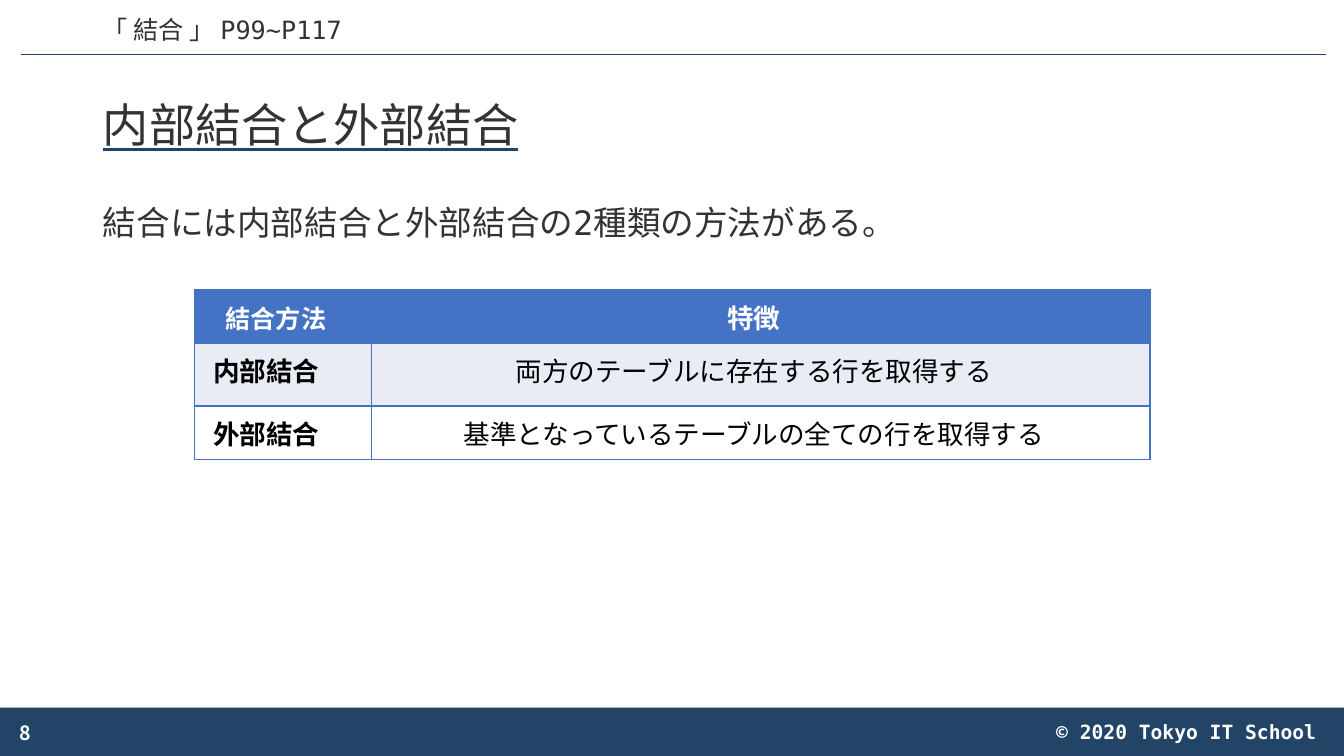
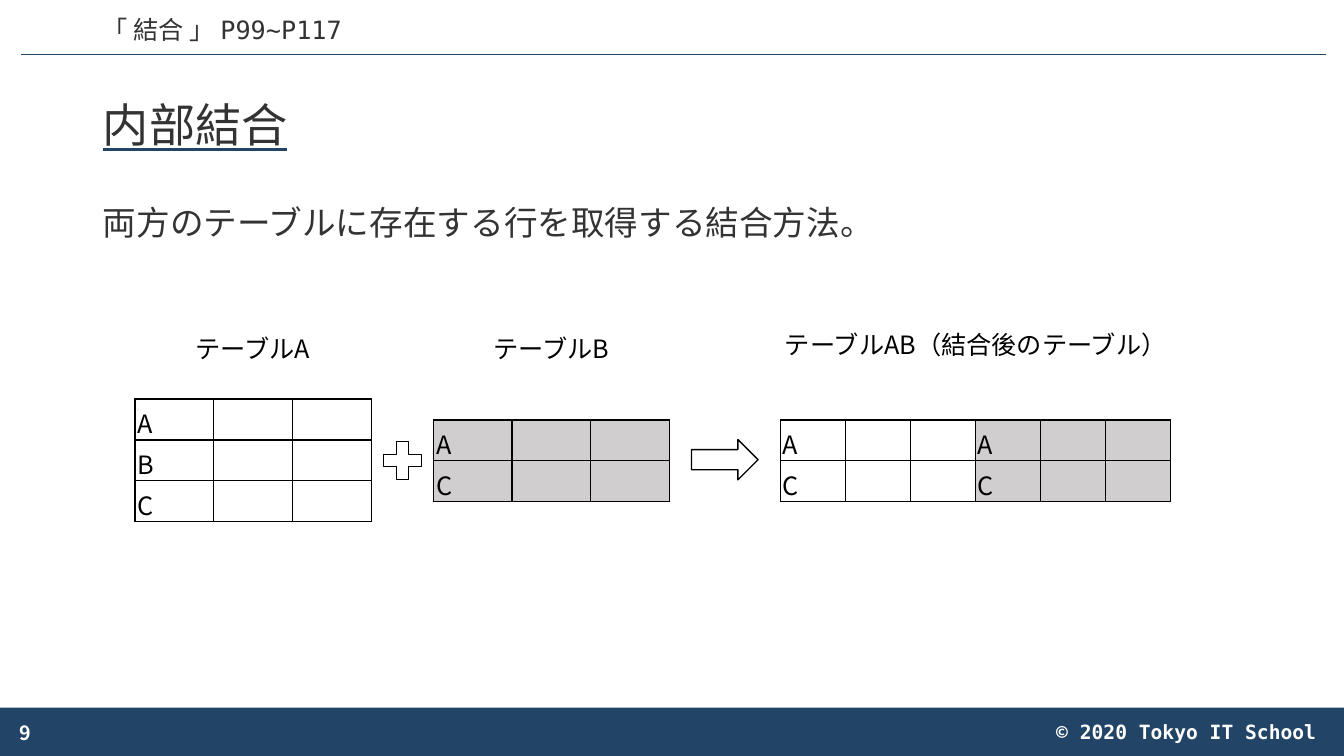
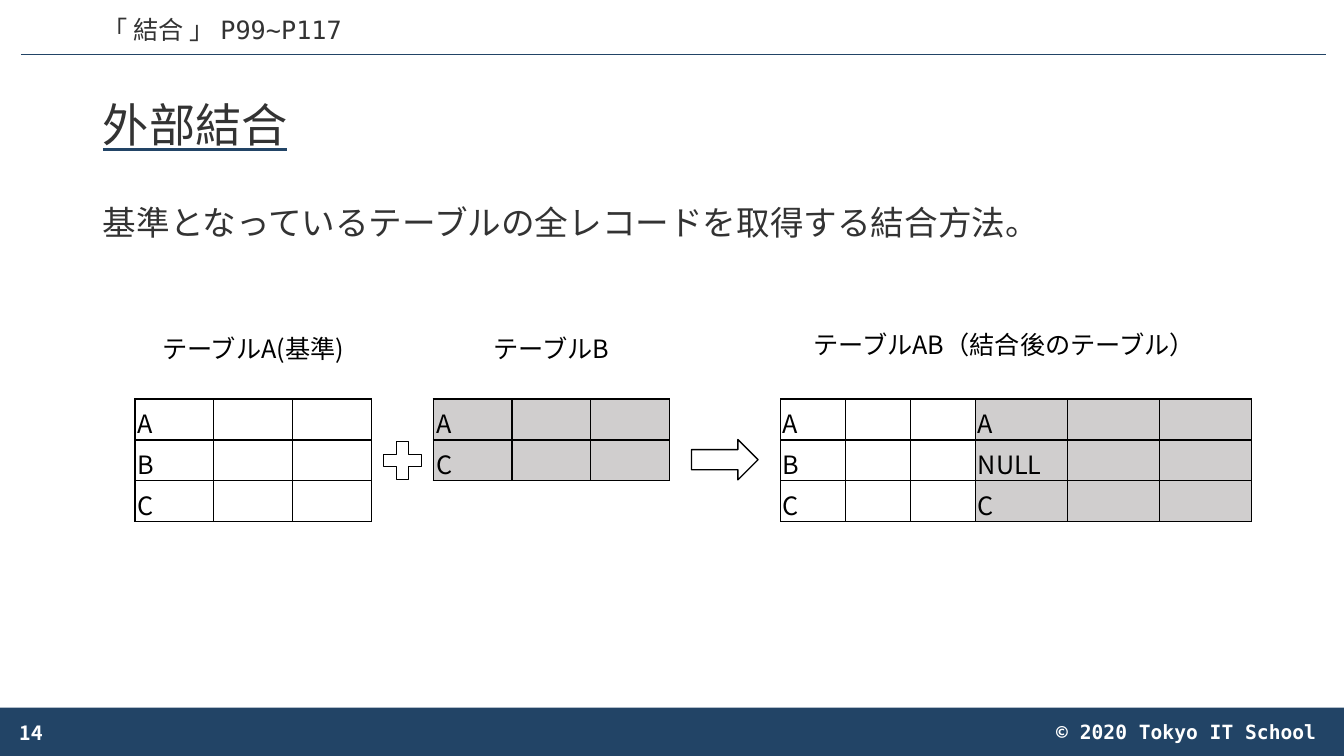
from dataclasses import dataclass

from pptx import Presentation
from pptx import util as u
from pptx.dml.color import RGBColor
from pptx.enum import shapes, text
from pptx.oxml import ns
from pptx.oxml.xmlchemy import OxmlElement

NAVY, INK, BLACK, WHITE = "224466", "333333", "000000", "FFFFFF"
BLUE, PALE, GREY = "4472C4", "E9EBF5", "D0CECE"
MONO, GOTHIC = "DejaVu Sans Mono", "Noto Sans CJK JP"
LEFT, CENTER = text.PP_ALIGN.LEFT, text.PP_ALIGN.CENTER
RIGHT, JUSTIFY = text.PP_ALIGN.RIGHT, text.PP_ALIGN.JUSTIFY
ROW_HEIGHT = 29.25


@dataclass(frozen=True)
class Box:
    left: float
    top: float
    width: float
    height: float

    def lengths(self) -> list:
        return [u.Pt(v) for v in (self.left, self.top, self.width, self.height)]


@dataclass(frozen=True)
class Style:
    size: float
    color: str = BLACK
    font: str = GOTHIC
    bold: bool = False
    underline: str = ""


@dataclass(frozen=True)
class Grid:
    left: float
    top: float
    column: float
    keys: str
    fill: str = ""
    inset: float = 2


@dataclass(frozen=True)
class Label:
    wording: str
    box: Box


@dataclass(frozen=True)
class Page:
    number: int
    title: str
    summary: str
    grids: tuple = ()
    labels: tuple = ()


TITLE = Style(33, INK, MONO, underline=NAVY)
SUMMARY = Style(24, INK, MONO)
CHAPTER = Style(18, INK, MONO)
COPYRIGHT = Style(14, WHITE, MONO, bold=True)
NUMBER = Style(14, WHITE, bold=True)
ENTRY = Style(18)


def rgb(color: str) -> RGBColor:
    return RGBColor.from_string(color)


def solid_fill(color: str):
    fill = OxmlElement("a:solidFill")
    value = OxmlElement("a:srgbClr")
    value.set("val", color)
    fill.append(value)
    return fill


def write(paragraph, wording: str, style: Style, align=LEFT) -> None:
    paragraph.alignment = align
    run = paragraph.add_run()
    run.text = wording
    font = run.font
    font.size = u.Pt(style.size)
    font.bold = style.bold
    font.color.rgb = rgb(style.color)
    font.name = style.font
    latin = run._r.get_or_add_rPr().find(ns.qn("a:latin"))
    asian = OxmlElement("a:ea")
    asian.set("typeface", GOTHIC)
    latin.addnext(asian)
    if style.underline:
        font.underline = True
        underline = OxmlElement("a:uFill")
        underline.append(solid_fill(style.underline))
        latin.addprevious(underline)


def add_text(slide, box: Box, wording: str, style: Style, align=LEFT,
             anchor=text.MSO_ANCHOR.TOP) -> None:
    frame = slide.shapes.add_textbox(*box.lengths()).text_frame
    frame.word_wrap = True
    frame.vertical_anchor = anchor
    write(frame.paragraphs[0], wording, style, align)


def fill_placeholder(placeholder, box: Box, wording: str, style: Style, anchor) -> None:
    placeholder.left, placeholder.top, placeholder.width, placeholder.height = box.lengths()
    frame = placeholder.text_frame
    frame.auto_size = text.MSO_AUTO_SIZE.NONE
    frame.vertical_anchor = anchor
    paragraph = frame.paragraphs[0]
    properties = paragraph._p.get_or_add_pPr()
    properties.set("marL", "0")
    properties.set("indent", "0")
    properties.append(OxmlElement("a:buNone"))
    paragraph.line_spacing = 0.9
    paragraph.space_before = u.Pt(0)
    write(paragraph, wording, style)


def add_shape(slide, kind, box: Box, fill: str = "", line: str = "") -> None:
    shape = slide.shapes.add_shape(kind, *box.lengths())
    shape.shadow.inherit = False
    if fill:
        shape.fill.solid()
        shape.fill.fore_color.rgb = rgb(fill)
    else:
        shape.fill.background()
    if line:
        shape.line.color.rgb = rgb(line)
        shape.line.width = u.Pt(1)
    else:
        shape.line.fill.background()


def format_cell(cell, border: str, fill: str, insets: tuple) -> None:
    (cell.margin_left, cell.margin_top,
     cell.margin_right, cell.margin_bottom) = (u.Pt(v) for v in insets)
    properties = cell._tc.get_or_add_tcPr()
    for side in ("a:lnL", "a:lnR", "a:lnT", "a:lnB"):
        edge = OxmlElement(side)
        edge.set("w", str(u.Pt(1)))
        edge.append(solid_fill(border))
        properties.append(edge)
    if fill:
        cell.fill.solid()
        cell.fill.fore_color.rgb = rgb(fill)
    else:
        cell.fill.background()


def add_table(slide, left: float, top: float, columns: list, rows: list):
    box = Box(left, top, sum(columns), sum(rows))
    table = slide.shapes.add_table(len(rows), len(columns), *box.lengths()).table
    table.first_row = table.horz_banding = False
    for column, width in zip(table.columns, columns):
        column.width = u.Pt(width)
    for row, height in zip(table.rows, rows):
        row.height = u.Pt(height)
    return table


def draw_grid(slide, grid: Grid) -> None:
    keys = grid.keys.split()
    table = add_table(slide, grid.left, grid.top, [grid.column] * 3, [ROW_HEIGHT] * len(keys))
    for cell in table.iter_cells():
        format_cell(cell, BLACK, grid.fill, (grid.inset, 3.6, grid.inset, 3.6))
    for row, key in enumerate(keys):
        write(table.cell(row, 0).text_frame.paragraphs[0], key, ENTRY)


def draw_methods(slide) -> None:
    rows = (
        ("結合方法", "特徴", BLUE),
        ("内部結合", "両方のテーブルに存在する行を取得する", PALE),
        ("外部結合", "基準となっているテーブルの全ての行を取得する", WHITE),
    )
    table = add_table(slide, 138.75, 207, [126.75, 556], [38, 45, 38])
    for r, (method, feature, fill) in enumerate(rows):
        heading = r == 0
        color = WHITE if heading else BLACK
        for c, wording in enumerate((method, feature)):
            first = c == 0
            align = JUSTIFY if first and not heading else CENTER
            cell = table.cell(r, c)
            format_cell(cell, BLUE, fill, (13.5, 19, 13.5 if align == JUSTIFY else 23.5, 5))
            paragraph = cell.text_frame.paragraphs[0]
            paragraph.line_spacing = u.Pt(14)
            size = 18 if heading and first else 19
            write(paragraph, wording, Style(size, color, bold=heading or first), align)


def draw_join(slide, page: Page) -> None:
    for grid in page.grids:
        draw_grid(slide, grid)
    add_shape(slide, shapes.MSO_SHAPE.MATH_PLUS, Box(269.25, 310.5, 36.75, 36.75), line=BLACK)
    add_shape(slide, shapes.MSO_SHAPE.RIGHT_ARROW, Box(494, 314, 47.5, 28.8), line=BLACK)
    for label in page.labels:
        add_text(slide, label.box, label.wording, ENTRY, CENTER)


def draw_frame(slide, page: Page) -> None:
    add_shape(slide, shapes.MSO_SHAPE.RECTANGLE, Box(0, 505.5, 960, 35), fill=NAVY)
    add_text(slide, Box(66.25, 7, 618.5, 29), "「 結合 」 P99~P117", CHAPTER)
    add_text(slide, Box(600.5, 510.5, 347, 24.5), "© 2020 Tokyo IT School", COPYRIGHT, RIGHT)
    rule = slide.shapes.add_connector(
        shapes.MSO_CONNECTOR.STRAIGHT, u.Pt(15), u.Pt(39), u.Pt(947.5), u.Pt(39))
    rule.line.color.rgb = rgb(NAVY)
    rule.line.width = u.Pt(0.5)
    rule._element.spPr.append(OxmlElement("a:effectLst"))
    fill_placeholder(slide.shapes.title, Box(66.25, 49, 828, 84.25), page.title, TITLE,
                     text.MSO_ANCHOR.MIDDLE)
    fill_placeholder(slide.placeholders[1], Box(66.25, 144, 828, 342.75), page.summary, SUMMARY,
                     text.MSO_ANCHOR.TOP)
    add_text(slide, Box(7, 508.5, 216, 29), str(page.number), NUMBER,
             anchor=text.MSO_ANCHOR.MIDDLE)


TABLE_A = Grid(96.5, 285, 56.25, "A B C")
LABEL_B = Label("テーブルB", Box(341.25, 234.75, 105, 29))
MERGED = "テーブルAB（結合後のテーブル）"

PAGES = (
    Page(8, "内部結合と外部結合", "結合には内部結合と外部結合の2種類の方法がある。"),
    Page(
        9, "内部結合", "両方のテーブルに存在する行を取得する結合方法。",
        (TABLE_A,
         Grid(309.5, 300, 56.25, "A C", GREY),
         Grid(557.75, 300, 46.4, "A C", inset=1.5),
         Grid(697, 300, 46.4, "A C", GREY, 1.5)),
        (Label("テーブルA", Box(128.25, 234.75, 105, 29)),
         LABEL_B,
         Label(MERGED, Box(546.5, 231.75, 301, 29))),
    ),
    Page(
        14, "外部結合", "基準となっているテーブルの全レコードを取得する結合方法。",
        (TABLE_A,
         Grid(309.5, 285, 56.25, "A C", GREY),
         Grid(557.75, 285, 46.4, "A B C", inset=1.5),
         Grid(697, 285, 65.75, "A NULL C", GREY, 1.5)),
        (Label("テーブルA(基準)", Box(103.75, 234.75, 154, 29)),
         LABEL_B,
         Label(MERGED, Box(566.75, 231.75, 301, 29))),
    ),
)


def main() -> None:
    deck = Presentation()
    deck.slide_width, deck.slide_height = u.Pt(960), u.Pt(540)
    for page in PAGES:
        slide = deck.slides.add_slide(deck.slide_layouts[1])
        draw_frame(slide, page)
        if page.grids:
            draw_join(slide, page)
        else:
            draw_methods(slide)
    deck.save("out.pptx")


if __name__ == "__main__":
    main()
